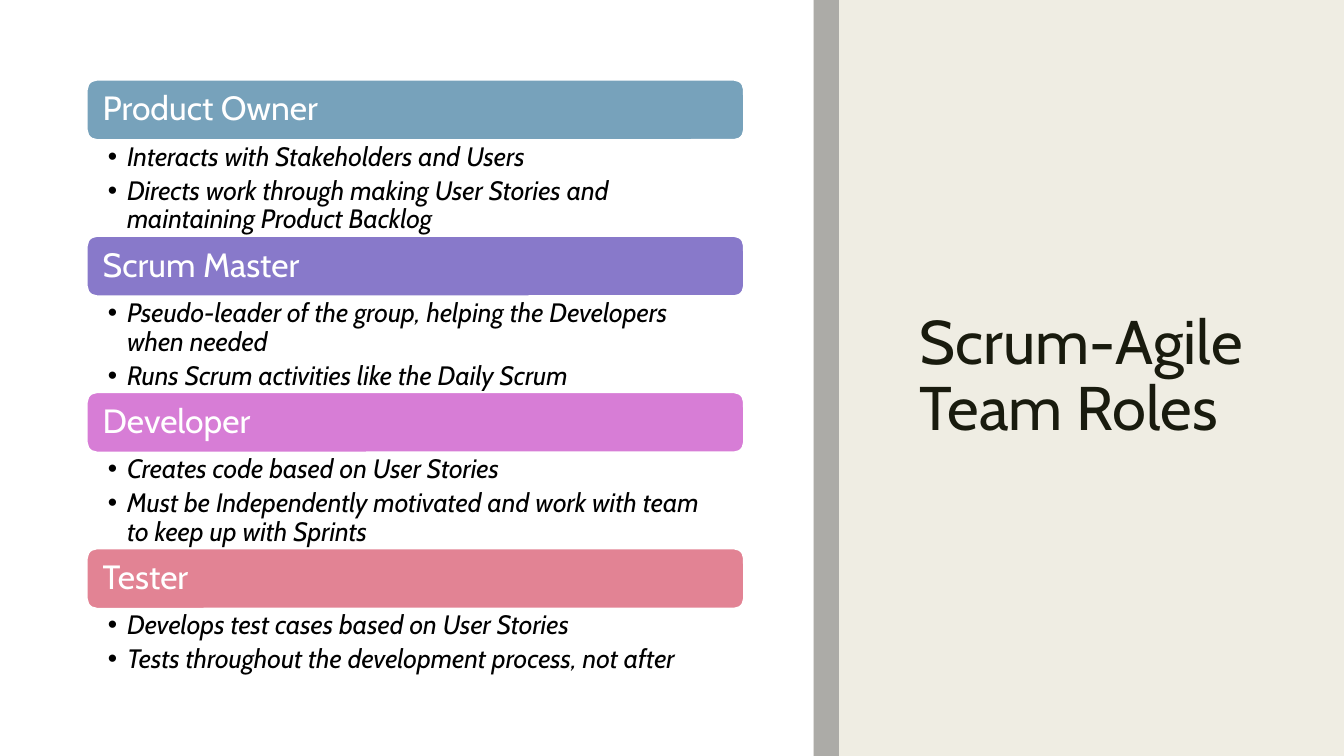
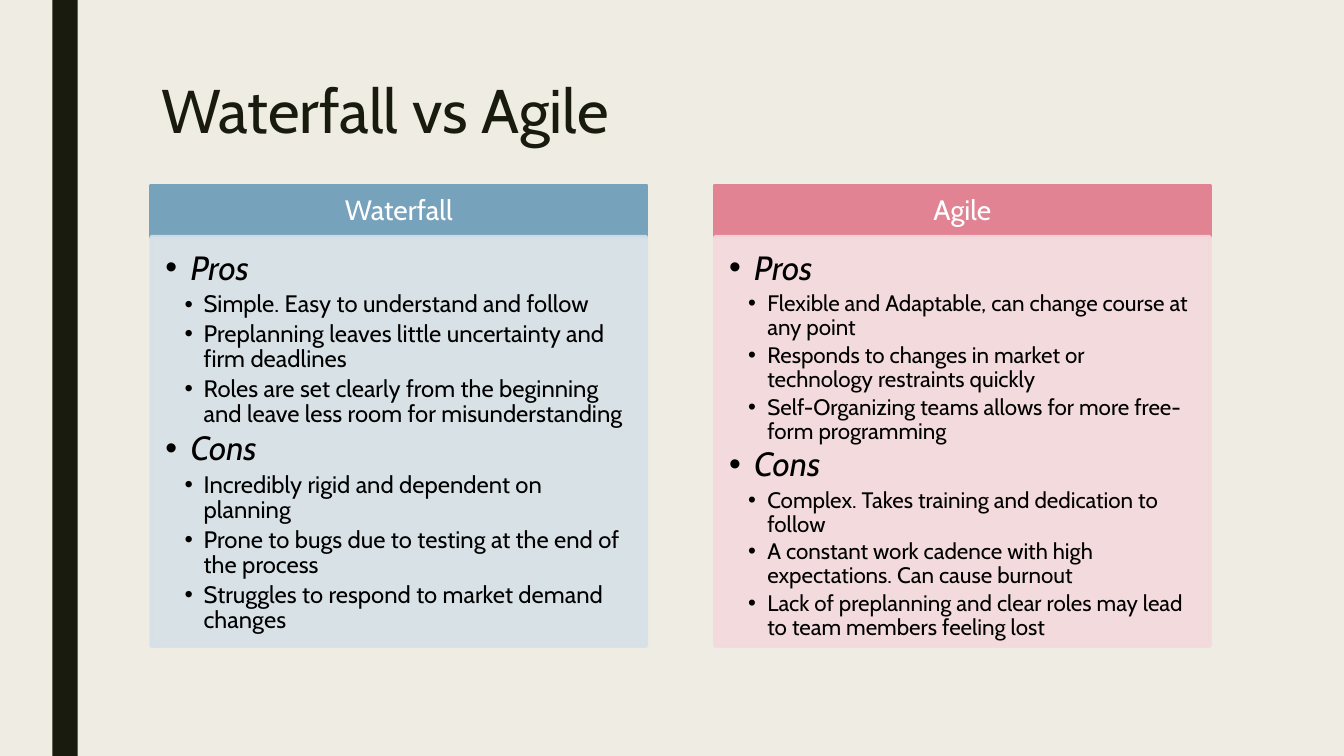
from dataclasses import dataclass

from lxml.etree import SubElement
from pptx import Presentation
from pptx.dml.color import RGBColor
from pptx.enum.shapes import MSO_SHAPE as Preset
from pptx.enum.text import MSO_ANCHOR as Anchor, MSO_AUTO_SIZE as AutoSize, PP_ALIGN as Align
from pptx.oxml.ns import qn
from pptx.util import Emu, Pt

# Content
ROLES_TITLE = "Scrum-Agile Team Roles"
ROLES = [
    ("Product Owner", "77A2BB", [
        "Interacts with Stakeholders and Users",
        "Directs work through making User Stories and maintaining Product Backlog"]),
    ("Scrum Master", "8879CA", [
        "Pseudo-leader of the group, helping the Developers when needed",
        "Runs Scrum activities like the Daily Scrum"]),
    ("Developer", "D77DD6", [
        "Creates code based on User Stories",
        "Must be Independently motivated and work with team to keep up with Sprints"]),
    ("Tester", "E28394", [
        "Develops test cases based on User Stories",
        "Tests throughout the development process, not after"]),
]

METHODS_TITLE = "Waterfall vs Agile"
METHODS = [
    {"name": "Waterfall", "color": "77A2BB", "tint": "D6E0E7", "point_size": 17, "groups": [
        ("Pros", [
            "Simple. Easy to understand and follow",
            "Preplanning leaves little uncertainty and firm deadlines",
            "Roles are set clearly from the beginning and leave less room for misunderstanding"]),
        ("Cons", [
            "Incredibly rigid and dependent on planning",
            "Prone to bugs due to testing at the end of the process",
            "Struggles to respond to market demand changes"])]},
    {"name": "Agile", "color": "E28394", "tint": "F4D9DC", "point_size": 16, "groups": [
        ("Pros", [
            "Flexible and Adaptable, can change course at any point",
            "Responds to changes in market or technology restraints quickly",
            "Self-Organizing teams allows for more free-form programming"]),
        ("Cons", [
            "Complex. Takes training and dedication to follow",
            "A constant work cadence with high expectations. Can cause burnout",
            "Lack of preplanning and clear roles may lead to team members feeling lost"])]},
]


@dataclass(frozen=True)
class Theme:
    font: str = "Cabin"
    paper: str = "EFEDE3"
    ink: str = "191B0E"
    white: str = "FFFFFF"
    black: str = "000000"
    gray: str = "808080"
    title_size: int = 44
    heading_size: int = 24
    column_size: int = 20
    role_point_size: int = 19


THEME = Theme()
WIDTH, HEIGHT = 1333, 750
BAND_LEFT, BAND_WIDTH = 52, 25
COMPARISON_LAYOUT = 4


def px(length):
    """Convert px, 100 to the inch, to EMU."""
    return Emu(length * 9144)


def place(shape, left, top, width, height):
    shape.left, shape.top = px(left), px(top)
    shape.width, shape.height = px(width), px(height)


def paint(shape, fill, line=None, line_width=0, opacity=100):
    shape.fill.solid()
    shape.fill.fore_color.rgb = RGBColor.from_string(fill)
    if line:
        shape.line.color.rgb = RGBColor.from_string(line)
        shape.line.width = Pt(line_width)
    else:
        shape.line.fill.background()
    if opacity < 100:
        for color in shape.element.spPr.iter(qn("a:srgbClr")):
            SubElement(color, qn("a:alpha"), val=str(opacity * 1000))


def add_box(slide, box, fill, preset=Preset.RECTANGLE, **style):
    left, top, width, height = map(px, box)
    shape = slide.shapes.add_shape(preset, left, top, width, height)
    shape.shadow.inherit = False
    paint(shape, fill, **style)
    return shape


def set_frame(shape, margins, anchor=Anchor.TOP):
    frame = shape.text_frame
    frame.word_wrap = True
    frame.auto_size = AutoSize.NONE
    frame.vertical_anchor = anchor
    (frame.margin_left, frame.margin_top,
     frame.margin_right, frame.margin_bottom) = map(px, margins)
    return frame


def add_paragraph(frame, text, size, color=THEME.black, italic=False, align=Align.LEFT,
                  spacing=0.9, after=0.0, indent=0, hanging=0):
    """Write one paragraph; a hanging indent brings a bullet with it."""
    first = frame.paragraphs[0]
    paragraph = frame.add_paragraph() if first.runs else first
    properties = paragraph._p.get_or_add_pPr()
    properties.set("marL", str(px(indent)))
    properties.set("indent", str(-px(hanging)))
    if hanging:
        SubElement(properties, qn("a:buFont"), typeface="Arial")
        SubElement(properties, qn("a:buChar"), char="•")
    else:
        SubElement(properties, qn("a:buNone"))
    paragraph.alignment = align
    paragraph.line_spacing = spacing
    paragraph.space_before = Pt(0)
    paragraph.space_after = Pt(round(size * after, 1))
    run = paragraph.add_run()
    run.text = text
    run.font.name = THEME.font
    run.font.size = Pt(size)
    run.font.bold = False
    run.font.italic = italic
    run.font.color.rgb = RGBColor.from_string(color)


def add_slide(presentation, title, title_box, anchor):
    """Add a slide with its title; return it with its four body placeholders."""
    slide = presentation.slides.add_slide(presentation.slide_layouts[COMPARISON_LAYOUT])
    place(slide.shapes.title, *title_box)
    frame = set_frame(slide.shapes.title, (10, 5, 10, 5), anchor)
    add_paragraph(frame, title, THEME.title_size, THEME.ink, spacing=0.89)
    return slide, [slide.placeholders[index] for index in range(1, 5)]


def set_master(presentation, slide):
    """Give the master its paper background and dark band."""
    master = presentation.slide_master
    master.background.fill.solid()
    master.background.fill.fore_color.rgb = RGBColor.from_string(THEME.paper)
    band = add_box(slide, (BAND_LEFT, 0, BAND_WIDTH, HEIGHT), THEME.ink).element
    band.nvSpPr.cNvPr.set("id", "90")
    master.shapes.element.insert(2, band)


def build_roles(presentation):
    slide, bodies = add_slide(presentation, ROLES_TITLE, (902, 70, 361, 610), Anchor.MIDDLE)
    set_master(presentation, slide)

    # White panel and its gray edge
    panel_width = 807
    add_box(slide, (0, 0, panel_width, HEIGHT), THEME.white)
    add_box(slide, (panel_width, 0, BAND_WIDTH, HEIGHT), THEME.gray, opacity=60)

    # One bar and one list for each role
    left, top, width, bar_height, list_height = 86, 79, 652, 60, 95
    for row, ((role, color, points), body) in enumerate(zip(ROLES, bodies)):
        bar_top = top + row * (bar_height + list_height)
        bar = add_box(slide, (left, bar_top, width, bar_height), color,
                      Preset.ROUNDED_RECTANGLE, line=THEME.white, line_width=1.5)
        frame = set_frame(bar, (13, 13, 13, 13), Anchor.MIDDLE)
        add_paragraph(frame, role, THEME.heading_size, THEME.white)

        slide.shapes.element.append(body.element)  # in front of the panel
        place(body, left, bar_top + bar_height, width, list_height)
        frame = set_frame(body, (21, 3, 19, 3))
        for point in points:
            add_paragraph(frame, point, THEME.role_point_size, italic=True,
                          after=0.2, indent=19, hanging=19)


def build_methods(presentation):
    slide, bodies = add_slide(presentation, METHODS_TITLE, (150, 75, 1050, 162), Anchor.TOP)

    # Each column is a heading placeholder above a list placeholder
    left, top, width, step, head_height, list_height = 150, 184, 491, 559, 51, 406
    for column, (method, head, body) in enumerate(zip(METHODS, bodies[::2], bodies[1::2])):
        column_left = left + column * step
        place(head, column_left, top, width, head_height)
        paint(head, method["color"], method["color"], 2.75)
        frame = set_frame(head, (16, 9, 16, 9), Anchor.MIDDLE)
        add_paragraph(frame, method["name"], THEME.column_size, THEME.white, align=Align.CENTER)

        place(body, column_left, top + head_height, width, list_height)
        paint(body, method["tint"], method["tint"], 2.75, opacity=90)
        frame = set_frame(body, (14, 14, 19, 21))
        for group, points in method["groups"]:
            add_paragraph(frame, group, THEME.heading_size, italic=True,
                          after=0.15, indent=25, hanging=25)
            for point in points:
                add_paragraph(frame, point, method["point_size"],
                              after=0.15, indent=38, hanging=19)


def main():
    presentation = Presentation()
    presentation.slide_width, presentation.slide_height = px(WIDTH), px(HEIGHT)
    build_roles(presentation)
    build_methods(presentation)
    presentation.save("out.pptx")


if __name__ == "__main__":
    main()
